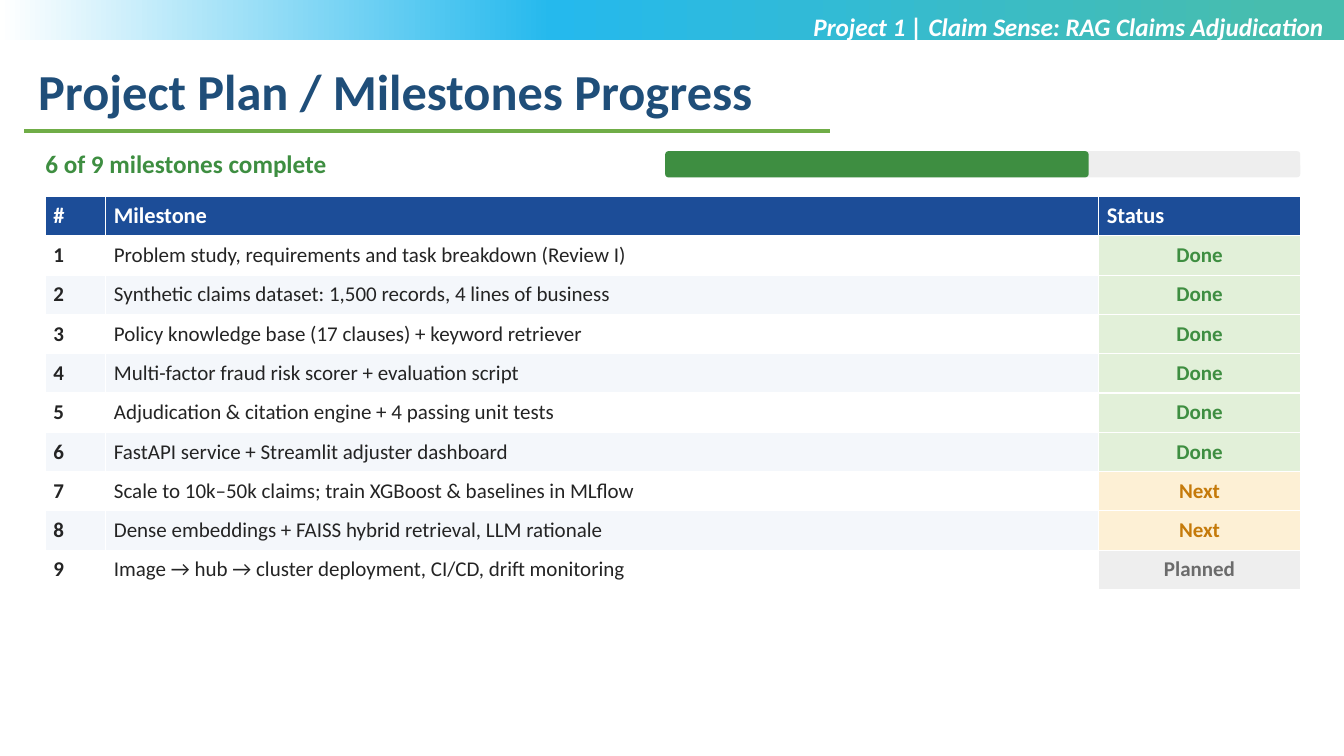
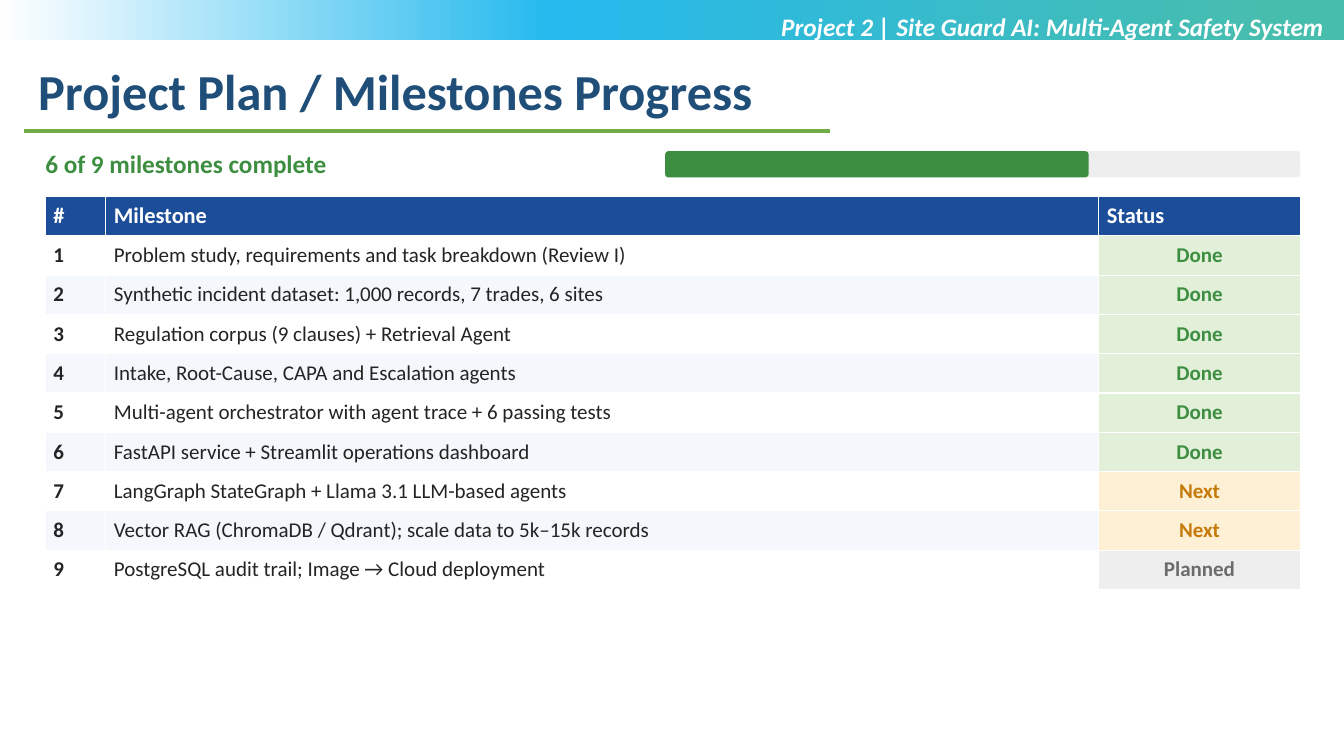
import copy

import lxml.etree
import pptx
import pptx.dml.color
import pptx.enum.shapes
import pptx.enum.text
import pptx.oxml.ns
import pptx.util

Pt = pptx.util.Pt
SHAPES = pptx.enum.shapes.MSO_SHAPE
ALIGN = pptx.enum.text.PP_ALIGN
qn = pptx.oxml.ns.qn

FONT = "Calibri"
WIDTH, HEIGHT = 960, 540
LEFT, RIGHT = 32.4, 928.8
WHITE, GREEN, GRAY = "FFFFFF", "3E8E41", "EEEEEE"
NAVY, BLUE, LIME, INK = "1F4E79", "1C4D98", "70AD47", "242424"
BANDS = (WHITE, "F4F7FB")
FADE = ((0.05, "47BDAE"), (0.59, "25B9ED"), (1, WHITE))
LOOKS = {
    "Done": (GREEN, "E2F0D9"),
    "Next": ("C57A0A", "FDF0D5"),
    "Planned": ("6B6B6B", GRAY),
}
HEADS = ("#", "Milestone", "Status")
COLS = (43.2, 709.2, 144)
ROW = 28.08
STATES = ["Done"] * 6 + ["Next"] * 2 + ["Planned"]

PLANS = {
    "Project 1 | Claim Sense: RAG Claims Adjudication": (
        "Problem study, requirements and task breakdown (Review I)",
        "Synthetic claims dataset: 1,500 records, 4 lines of business",
        "Policy knowledge base (17 clauses) + keyword retriever",
        "Multi-factor fraud risk scorer + evaluation script",
        "Adjudication & citation engine + 4 passing unit tests",
        "FastAPI service + Streamlit adjuster dashboard",
        "Scale to 10k–50k claims; train XGBoost & baselines in MLflow",
        "Dense embeddings + FAISS hybrid retrieval, LLM rationale",
        "Image → hub → cluster deployment, CI/CD, drift monitoring",
    ),
    "Project 2 | Site Guard AI: Multi-Agent Safety System": (
        "Problem study, requirements and task breakdown (Review I)",
        "Synthetic incident dataset: 1,000 records, 7 trades, 6 sites",
        "Regulation corpus (9 clauses) + Retrieval Agent",
        "Intake, Root-Cause, CAPA and Escalation agents",
        "Multi-agent orchestrator with agent trace + 6 passing tests",
        "FastAPI service + Streamlit operations dashboard",
        "LangGraph StateGraph + Llama 3.1 LLM-based agents",
        "Vector RAG (ChromaDB / Qdrant); scale data to 5k–15k records",
        "PostgreSQL audit trail; Image → Cloud deployment",
    ),
}


def paint(color):
    return pptx.dml.color.RGBColor.from_string(color)


class Deck:
    """Hold the shared style and the slide being drawn."""

    def __init__(self):
        self.show = pptx.Presentation()
        self.show.slide_width, self.show.slide_height = Pt(WIDTH), Pt(HEIGHT)
        self.slide = None

    def start(self, tag):
        self.slide = self.show.slides.add_slide(self.show.slide_layouts[6])
        self.band()
        self.text("Project Plan / Milestones Progress", (20.2, 39.6, 836.6, 51.1), 36, NAVY)
        self.line(17.3, 592.6, 93.6, LIME)
        self.text(tag, (302.4, 4.3, 650.2, 51.1), 18, WHITE, align=ALIGN.RIGHT, slant=True)

    def style(self, frame, text, size, color, bold=True, slant=False, align=ALIGN.LEFT):
        frame.text = text
        part = frame.paragraphs[0]
        part.alignment = align
        font = part.runs[0].font
        font.name, font.size = FONT, Pt(size)
        font.bold, font.italic = bold, slant
        font.color.rgb = paint(color)

    def text(self, text, box, size, color, inset=7.2, **look):
        frame = self.slide.shapes.add_textbox(*map(Pt, box)).text_frame
        frame.word_wrap = True
        frame.auto_size = pptx.enum.text.MSO_AUTO_SIZE.SHAPE_TO_FIT_TEXT
        frame.margin_left = frame.margin_right = Pt(inset)
        self.style(frame, text, size, color, **look)

    def shape(self, kind, box, color):
        shape = self.slide.shapes.add_shape(kind, *map(Pt, box))
        shape.shadow.inherit = False
        shape.fill.solid()
        shape.fill.fore_color.rgb = paint(color)
        shape.line.fill.background()
        return shape

    def band(self):
        shape = self.shape(SHAPES.RECTANGLE, (0, 0, WIDTH, 28.8), WHITE)
        shape.fill.gradient()
        shape.fill.gradient_angle = 180
        stops = next(shape._element.spPr.iter(qn("a:gsLst")))
        stops.append(copy.deepcopy(stops[0]))
        for stop, (place, color) in zip(shape.fill.gradient_stops, FADE):
            stop.position = place
            stop.color.rgb = paint(color)

    def line(self, left, right, top, color):
        line = self.slide.shapes.add_connector(
            pptx.enum.shapes.MSO_CONNECTOR.STRAIGHT, Pt(left), Pt(top), Pt(right), Pt(top))
        line.line.color.rgb = paint(color)
        line.line.width = Pt(2.25)
        lxml.etree.SubElement(line._element.spPr, qn("a:effectLst"))

    def meter(self, done, total):
        self.text(f"{done} of {total} milestones complete", (LEFT, 102.2, 432, 28.8), 18, GREEN, inset=0)
        left = 475.2
        full = RIGHT - left
        for width, color in ((full, GRAY), (full * done / total, GREEN)):
            bar = self.shape(SHAPES.ROUNDED_RECTANGLE, (left, 108, width, 18.7), color)
            bar.adjustments[0] = 0.12

    def cell(self, cell, text, size, color, fill, **look):
        cell.fill.solid()
        cell.fill.fore_color.rgb = paint(fill)
        cell.vertical_anchor = pptx.enum.text.MSO_ANCHOR.MIDDLE
        cell.margin_left = cell.margin_right = Pt(5.76)
        cell.margin_top = cell.margin_bottom = Pt(2.16)
        self.style(cell.text_frame, text, size, color, **look)

    def table(self, tasks):
        count = len(tasks) + 1
        box = (LEFT, 140.4, sum(COLS), ROW * count)
        grid = self.slide.shapes.add_table(count, len(COLS), *map(Pt, box)).table
        for row in grid.rows:
            row.height = Pt(ROW)
        for spot, (head, width) in enumerate(zip(HEADS, COLS)):
            grid.columns[spot].width = Pt(width)
            self.cell(grid.cell(0, spot), head, 16, WHITE, BLUE)
        for row, (task, state) in enumerate(zip(tasks, STATES), 1):
            band = BANDS[(row - 1) % 2]
            color, fill = LOOKS[state]
            self.cell(grid.cell(row, 0), str(row), 15, INK, band)
            self.cell(grid.cell(row, 1), task, 15, INK, band, bold=False)
            self.cell(grid.cell(row, 2), state, 15, color, fill, align=ALIGN.CENTER)


def main():
    deck = Deck()
    for tag, tasks in PLANS.items():
        deck.start(tag)
        deck.meter(STATES.count("Done"), len(STATES))
        deck.table(tasks)
    deck.show.save("out.pptx")


if __name__ == "__main__":
    main()
